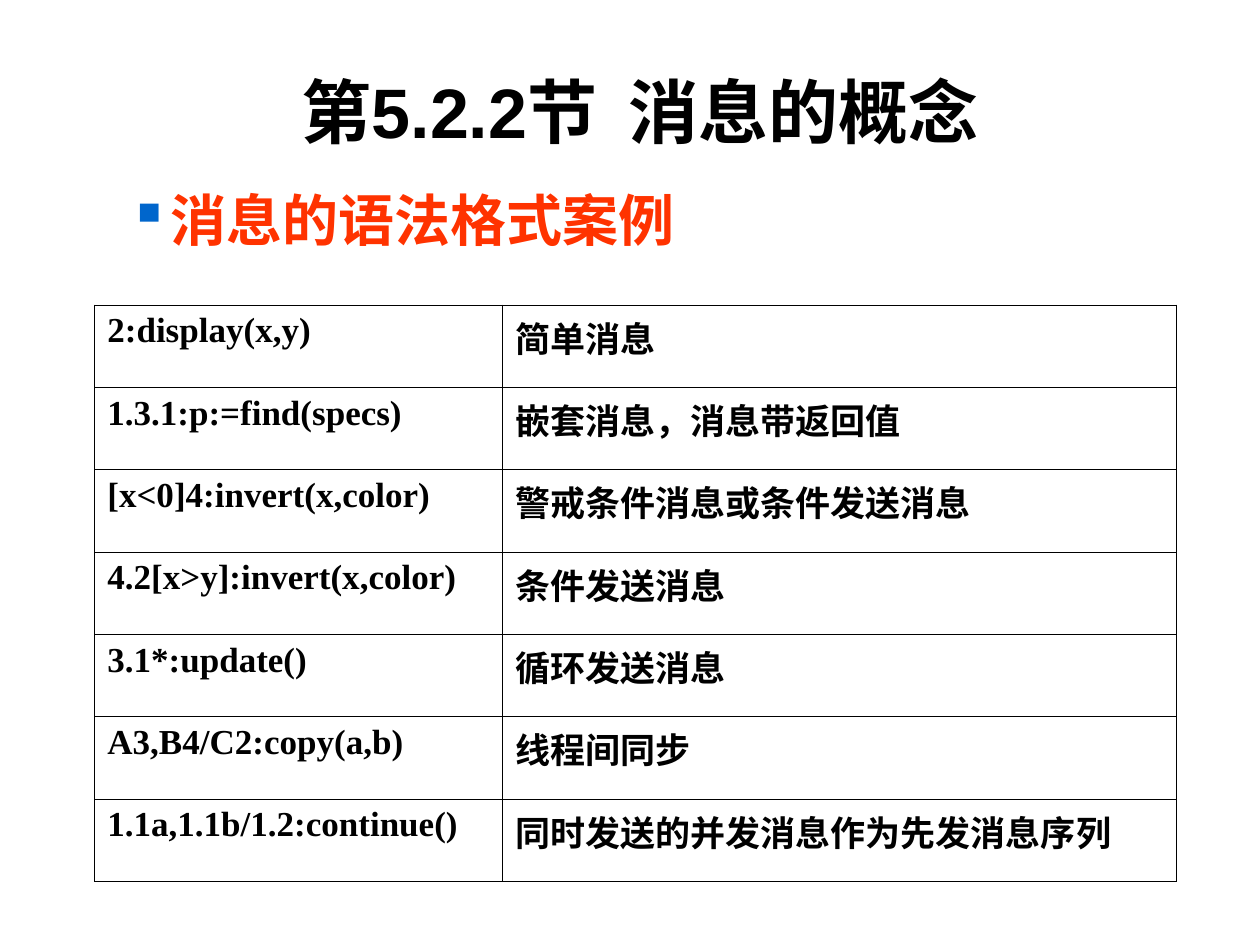
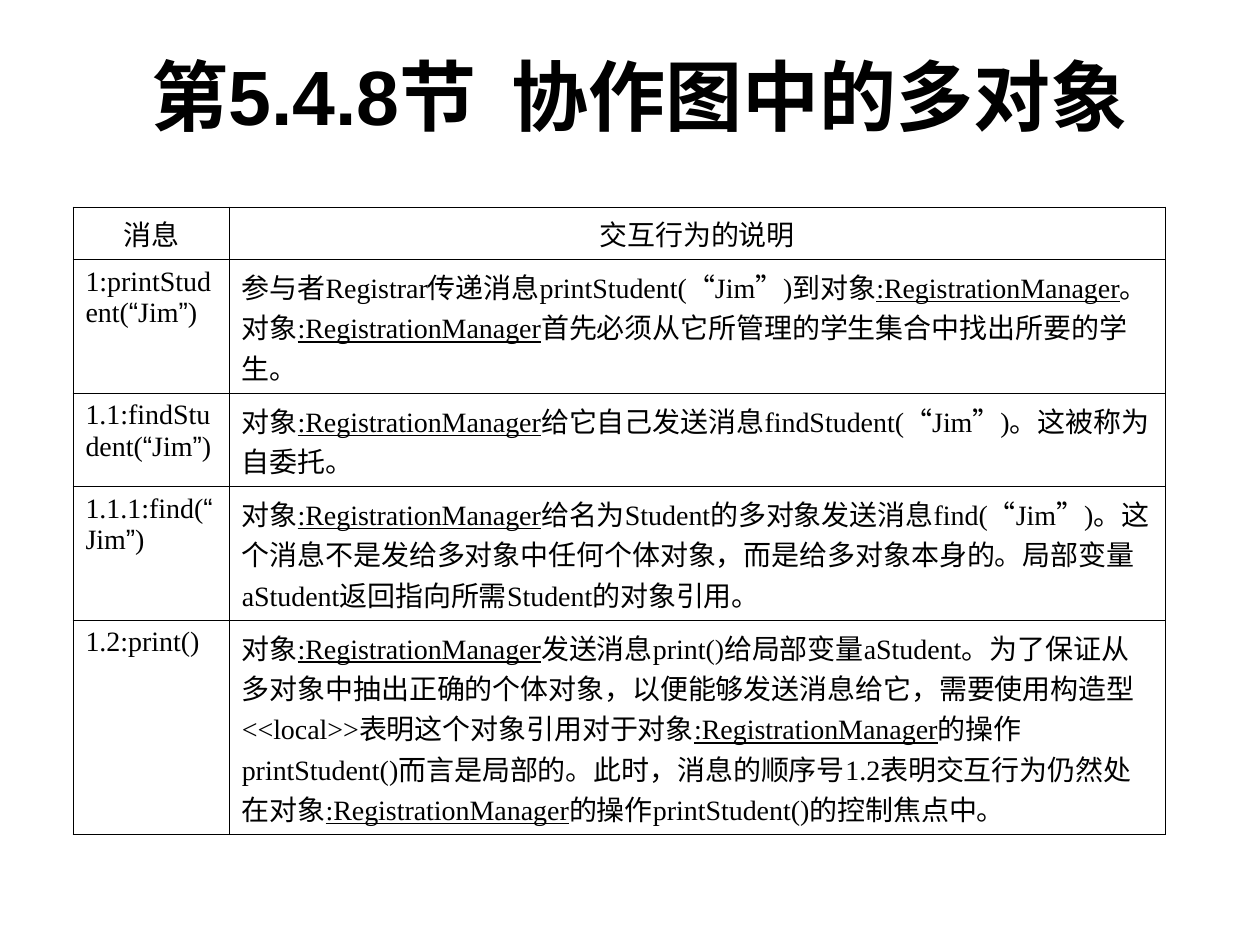
"""Build two slides on message syntax and multiobjects in collaboration diagrams."""
from lxml.etree import SubElement
from pptx import Presentation
from pptx.dml.color import RGBColor
from pptx.enum.lang import MSO_LANGUAGE_ID as Language
from pptx.enum.text import MSO_ANCHOR as Anchor, PP_ALIGN as Align
from pptx.oxml import parse_xml
from pptx.oxml.ns import nsdecls, qn
from pptx.util import Cm, Pt

BLACK = RGBColor(0x00, 0x00, 0x00)
ORANGE = RGBColor(0xFF, 0x33, 0x00)
BULLET_BLUE = RGBColor(0x00, 0x66, 0xCC)
HEADING_FONT = "Arial"
BODY_FONT = "Times New Roman"
MANAGER = ":RegistrationManager"
QUOTES = "“”"
BORDER_WIDTH = Pt(0.45)

SLIDES = [
    {
        "title": "第5.2.2节  消息的概念",
        "title_box": (2.11, 0.64, 21.59, 3.18),
        "title_size": 40,
        "subtitle": "消息的语法格式案例",
        "table_corner": (1.91, 6.15),
        "columns": (8.22, 13.59),
        "heights": [1.66] * 7,
        "size": 20,
        "bold": True,
        "header": False,
        "rows": [
            ("2:display(x,y)", "简单消息"),
            ("1.3.1:p:=find(specs)", "嵌套消息，消息带返回值"),
            ("[x<0]4:invert(x,color)", "警戒条件消息或条件发送消息"),
            ("4.2[x>y]:invert(x,color)", "条件发送消息"),
            ("3.1*:update()", "循环发送消息"),
            ("A3,B4/C2:copy(a,b)", "线程间同步"),
            ("1.1a,1.1b/1.2:continue()", "同时发送的并发消息作为先发消息序列"),
        ],
    },
    {
        "title": "第5.4.8节  协作图中的多对象",
        "title_box": (1.47, 0.64, 22.86, 2.54),
        "title_size": 44,
        "subtitle": None,
        "table_corner": (1.47, 4.17),
        "columns": (3.15, 18.87),
        "heights": [0.94, 2.29, 1.63, 2.29, 3.66],
        "size": 16,
        "bold": False,
        "header": True,
        "rows": [
            ("消息", "交互行为的说明"),
            ("1:printStudent(“Jim”)",
             "参与者Registrar传递消息printStudent(“Jim”)到对象:RegistrationManager。"
             "对象:RegistrationManager首先必须从它所管理的学生集合中找出所要的学生。"),
            ("1.1:findStudent(“Jim”)",
             "对象:RegistrationManager给它自己发送消息findStudent(“Jim”)。这被称为自委托。"),
            ("1.1.1:find(“Jim”)",
             "对象:RegistrationManager给名为Student的多对象发送消息find(“Jim”)。"
             "这个消息不是发给多对象中任何个体对象，而是给多对象本身的。"
             "局部变量aStudent返回指向所需Student的对象引用。"),
            ("1.2:print()",
             "对象:RegistrationManager发送消息print()给局部变量aStudent。"
             "为了保证从多对象中抽出正确的个体对象，以便能够发送消息给它，"
             "需要使用构造型<<local>>表明这个对象引用对于对象:RegistrationManager的操作"
             "printStudent()而言是局部的。此时，消息的顺序号1.2表明交互行为仍然处在对象"
             ":RegistrationManager的操作printStudent()的控制焦点中。"),
        ],
    },
]


def add_text(paragraph, text, size, name, bold, color=BLACK):
    """Add runs, underlining the manager object and setting quotes in the heading font."""
    for mark in (MANAGER, *QUOTES):
        text = text.replace(mark, f"\n{mark}\n")
    for piece in filter(None, text.split("\n")):
        run = paragraph.add_run()
        run.text = piece
        run.font.color.rgb = color
        style = {
            "size": Pt(size),
            "name": HEADING_FONT if piece in QUOTES else name,
            "bold": bold,
            "underline": piece == MANAGER,
            "language_id": Language.SIMPLIFIED_CHINESE,
        }
        for attribute, value in style.items():
            setattr(run.font, attribute, value)


def add_borders(cell):
    """Draw a thin black line on all four sides of a cell."""
    properties = cell._tc.get_or_add_tcPr()
    for position, side in enumerate("LRTB"):
        properties.insert(position, parse_xml(
            f'<a:ln{side} {nsdecls("a")} w="{BORDER_WIDTH}"><a:solidFill>'
            f'<a:srgbClr val="{BLACK}"/></a:solidFill></a:ln{side}>'))


presentation = Presentation()
presentation.slide_width = Cm(25.4)
presentation.slide_height = Cm(19.05)

for content in SLIDES:
    slide = presentation.slides.add_slide(presentation.slide_layouts[5])
    title = slide.shapes.title
    for side, length in zip(("left", "top", "width", "height"), content["title_box"]):
        setattr(title, side, Cm(length))
    title.text_frame.vertical_anchor = Anchor.MIDDLE
    paragraph = title.text_frame.paragraphs[0]
    paragraph.alignment = Align.CENTER
    add_text(paragraph, content["title"], content["title_size"], HEADING_FONT, True)

    if content["subtitle"]:
        subtitle = slide.shapes.add_textbox(Cm(2.34), Cm(3.61), Cm(20.52), Cm(1.91))
        subtitle.text_frame.word_wrap = True
        paragraph = subtitle.text_frame.paragraphs[0]
        properties = paragraph._p.get_or_add_pPr()
        properties.set("marL", str(Cm(0.56)))
        properties.set("indent", str(-Cm(0.56)))
        bullet_color = SubElement(properties, qn("a:buClr"))
        SubElement(bullet_color, qn("a:srgbClr"), val=str(BULLET_BLUE))
        SubElement(properties, qn("a:buChar"), char="▪")
        add_text(paragraph, content["subtitle"], 32, HEADING_FONT, True, ORANGE)

    left, top = content["table_corner"]
    columns, heights = content["columns"], content["heights"]
    table = slide.shapes.add_table(
        len(heights), len(columns), Cm(left), Cm(top),
        Cm(sum(columns)), Cm(sum(heights))).table
    table.first_row = table.horz_banding = False
    for column, width in zip(table.columns, columns):
        column.width = Cm(width)
    for row_index, (row, height) in enumerate(zip(table.rows, heights)):
        row.height = Cm(height)
        for cell, text in zip(row.cells, content["rows"][row_index]):
            cell.fill.background()
            add_borders(cell)
            paragraph = cell.text_frame.paragraphs[0]
            is_header = content["header"] and row_index == 0
            paragraph.alignment = Align.CENTER if is_header else Align.LEFT
            add_text(paragraph, text, content["size"], BODY_FONT, content["bold"])

presentation.save("out.pptx")
